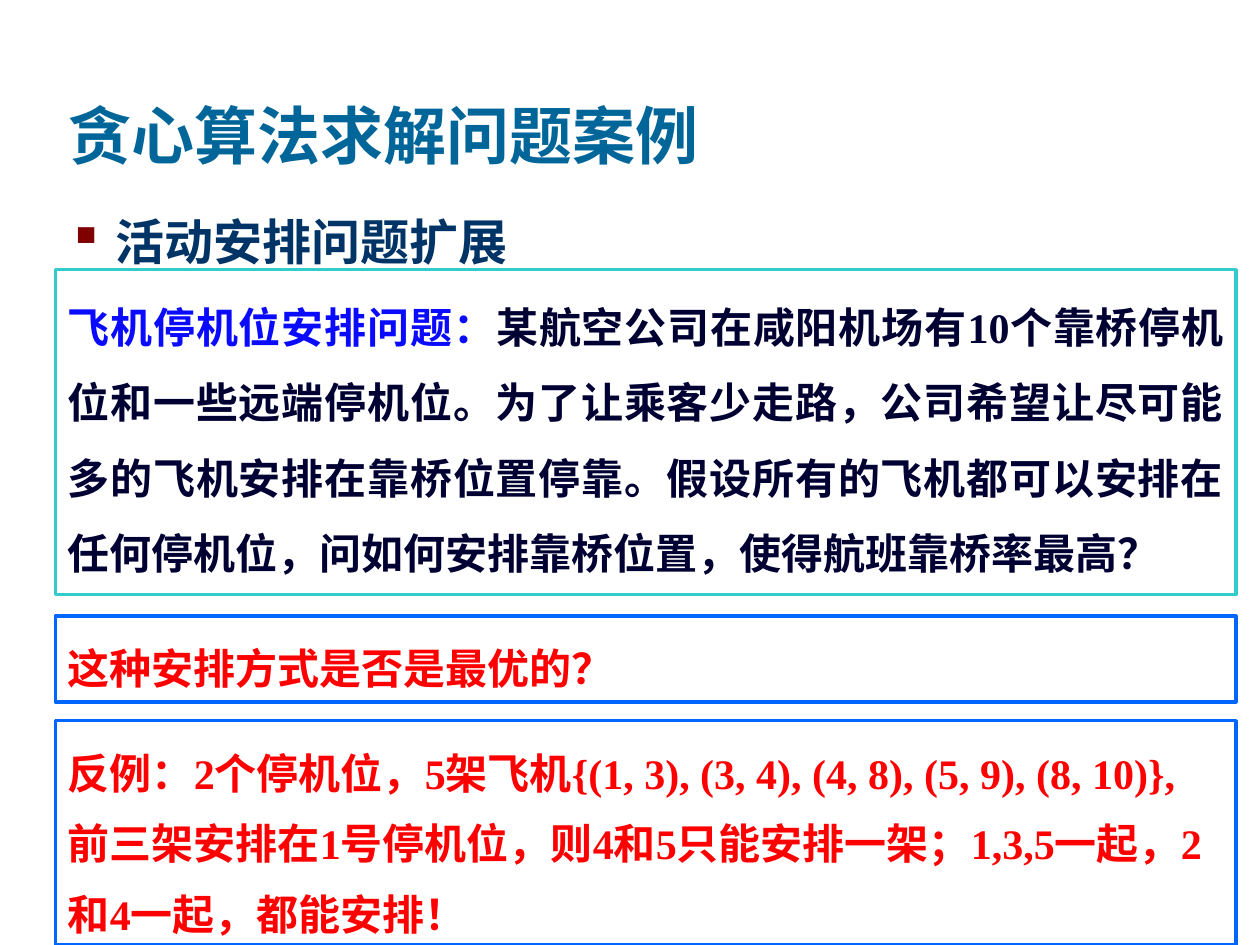
from typing import NamedTuple

from lxml.etree import SubElement
from pptx import Presentation
from pptx.dml.color import RGBColor
from pptx.enum.shapes import MSO_SHAPE
from pptx.enum.text import MSO_ANCHOR, PP_ALIGN
from pptx.oxml.ns import qn
from pptx.util import Inches, Pt

FONT = "Times New Roman"
LEFT = 0.44
PANEL_WIDTH = 9.37


class Span(NamedTuple):
    text: str
    color: str


class Panel(NamedTuple):
    top: float
    height: float
    border: str
    align: PP_ALIGN
    line_spacing: float
    spans: list[Span]


PANELS = [
    Panel(2.14, 2.58, "33CCCC", PP_ALIGN.JUSTIFY, 1.5, [
        Span("飞机停机位安排问题：", "0A0AFF"),
        Span("某航空公司在咸阳机场有10个靠桥停机位和一些远端停机位。"
             "为了让乘客少走路，公司希望让尽可能多的飞机安排在靠桥位置停靠。"
             "假设所有的飞机都可以安排在任何停机位，问如何安排靠桥位置，"
             "使得航班靠桥率最高？", "000033"),
    ]),
    Panel(4.89, 0.68, "0066FF", PP_ALIGN.LEFT, 1.4, [
        Span("这种安排方式是否是最优的？", "FF0000"),
    ]),
    Panel(5.72, 1.78, "0066FF", PP_ALIGN.LEFT, 1.4, [
        Span("反例：2个停机位，5架飞机{(1, 3), (3, 4), (4, 8), (5, 9), (8, 10)}, "
             "前三架安排在1号停机位，则4和5只能安排一架；"
             "1,3,5一起，2和4一起，都能安排！", "FF0000"),
    ]),
]


def rgb(color: str) -> RGBColor:
    return RGBColor.from_string(color)


def set_font(font, size: float) -> None:
    font.name = FONT
    font.size = Pt(size)
    font.bold = True


def add_bullet(paragraph, symbol: str, color: str, indent: float) -> None:
    properties = paragraph._p.get_or_add_pPr()
    properties.set("marL", str(Inches(indent)))
    properties.set("indent", str(Inches(-indent)))
    bullet_color = SubElement(properties, qn("a:buClr"))
    SubElement(bullet_color, qn("a:srgbClr"), val=color)
    SubElement(properties, qn("a:buChar"), char=symbol)


def format_title(title, text: str) -> None:
    title.left, title.top = Inches(LEFT), Inches(0.17)
    title.width, title.height = Inches(8.5), Inches(1.25)
    frame = title.text_frame
    frame.vertical_anchor = MSO_ANCHOR.BOTTOM
    frame.text = text
    paragraph = frame.paragraphs[0]
    paragraph.alignment = PP_ALIGN.LEFT
    set_font(paragraph.font, 36)
    paragraph.font.color.rgb = rgb("006699")


def add_heading(slide, text: str) -> None:
    box = slide.shapes.add_textbox(
        Inches(LEFT), Inches(1.63), Inches(8.94), Inches(4.87))
    box.text_frame.word_wrap = True
    paragraph = box.text_frame.paragraphs[0]
    paragraph.text = text
    add_bullet(paragraph, "▪", "800000", 0.38)
    set_font(paragraph.font, 28)
    paragraph.font.color.rgb = rgb("003366")


def add_panel(slide, panel: Panel) -> None:
    box = slide.shapes.add_shape(
        MSO_SHAPE.RECTANGLE, Inches(LEFT), Inches(panel.top),
        Inches(PANEL_WIDTH), Inches(panel.height))
    box.shadow.inherit = False
    box.fill.solid()
    box.fill.fore_color.rgb = rgb("FFFFFF")
    box.line.color.rgb = rgb(panel.border)
    box.line.width = Pt(2)
    frame = box.text_frame
    frame.word_wrap = True
    frame.vertical_anchor = MSO_ANCHOR.TOP
    paragraph = frame.paragraphs[0]
    paragraph.alignment = panel.align
    paragraph.line_spacing = panel.line_spacing
    set_font(paragraph.font, 24)
    for span in panel.spans:
        run = paragraph.add_run()
        run.text = span.text
        run.font.color.rgb = rgb(span.color)


def main() -> None:
    deck = Presentation()
    deck.slide_width, deck.slide_height = Inches(10), Inches(7.5)
    page = deck.slides.add_slide(deck.slide_layouts.get_by_name("Title Only"))
    format_title(page.shapes.title, "贪心算法求解问题案例")
    add_heading(page, "活动安排问题扩展")
    for panel in PANELS:
        add_panel(page, panel)
    deck.save("out.pptx")


if __name__ == "__main__":
    main()
